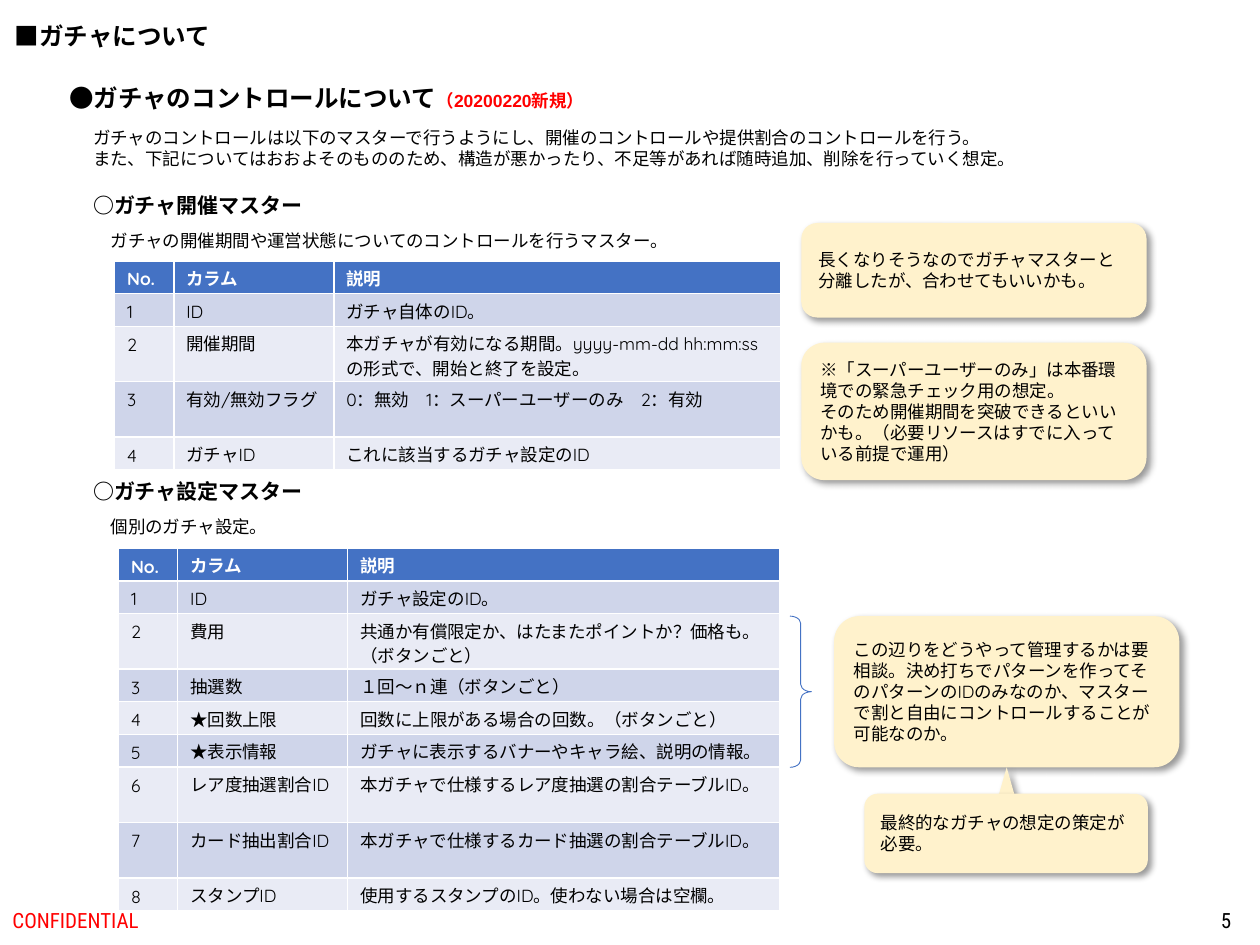
"""Build the gacha control slide."""
from lxml import etree
from pptx import Presentation
from pptx import util as u
from pptx.dml.color import RGBColor
from pptx.enum import shapes, text
from pptx.oxml import ns

CJK, QUICK, ROBOTO = "Noto Sans CJK JP", "Quicksand", "Roboto Condensed"
BLACK, WHITE, RED, BLUE, CREAM = "000000", "FFFFFF", "FF0000", "4472C4", "FFF2CC"
BANDS = ["CFD5EA", "E9EBF5"]
HEAD = ("No.", "カラム", "説明")
LOW, HIGH = 0.26, 0.44
MID = text.MSO_ANCHOR.MIDDLE
TITLE = dict(size=14, font="Arial", bold=True)
SUB = dict(size=12, bold=True)

LABELS = [
    ((0, 7.1, 3.38, 0.4), ["CONFIDENTIAL"],
     dict(size=12, font=ROBOTO, color=RED, anchor=MID)),
    ((7.62, 7.1, 2.25, 0.4), ["5"],
     dict(size=12, font=ROBOTO, anchor=MID, align=text.PP_ALIGN.RIGHT)),
    ((0.02, 0.12, 1.77, 0.34), ["■ガチャについて"], dict(TITLE, wrap=False)),
    ((0.45, 0.61, 4.47, 0.34),
     [["●ガチャのコントロールについて", ("（20200220新規）", 10, RED)]],
     dict(TITLE, wrap=False)),
    ((0.64, 0.96, 9.23, 0.44),
     ["ガチャのコントロールは以下のマスターで行うようにし、開催のコントロールや提供割合のコントロールを行う。",
      "また、下記についてはおおよそのもののため、構造が悪かったり、不足等があれば随時追加、削除を行っていく想定。"], {}),
    ((0.64, 1.48, 1.88, 0.3), ["○ガチャ開催マスター"], dict(SUB, wrap=False)),
    ((0.78, 1.78, 4.69, 0.27),
     ["ガチャの開催期間や運営状態についてのコントロールを行うマスター。"], dict(wrap=False)),
    ((0.64, 3.75, 1.88, 0.3), ["○ガチャ設定マスター"], dict(SUB, wrap=False)),
    ((0.78, 4.05, 1.46, 0.27), ["個別のガチャ設定。"], dict(wrap=False)),
]

TABLES = [
    (0.91, 2.07, (0.47, 1.27, 3.55), (2, 3), [
        ("ID", "ガチャ自体のID。"),
        ("開催期間", "本ガチャが有効になる期間。yyyy-mm-dd hh:mm:ssの形式で、開始と終了を設定。"),
        ("有効/無効フラグ", "0：無効　1：スーパーユーザーのみ　2：有効"),
        ("ガチャID", "これに該当するガチャ設定のID"),
    ]),
    (0.94, 4.35, (0.47, 1.35, 3.43), (2, 6, 7), [
        ("ID", "ガチャ設定のID。"),
        ("費用", "共通か有償限定か、はたまたポイントか？価格も。\n（ボタンごと）"),
        ("抽選数", "１回～ｎ連（ボタンごと）"),
        ("★回数上限", "回数に上限がある場合の回数。（ボタンごと）"),
        ("★表示情報", "ガチャに表示するバナーやキャラ絵、説明の情報。"),
        ("レア度抽選割合ID", "本ガチャで仕様するレア度抽選の割合テーブルID。"),
        ("カード抽出割合ID", "本ガチャで仕様するカード抽選の割合テーブルID。"),
        ("スタンプID", "使用するスタンプのID。使わない場合は空欄。"),
    ]),
]

NOTES = [
    ((6.36, 1.77, 2.74, 0.75),
     ["長くなりそうなのでガチャマスターと分離したが、合わせてもいいかも。"]),
    ((6.36, 2.72, 2.74, 1.09),
     ["※「スーパーユーザーのみ」は本番環境での緊急チェック用の想定。",
      "そのため開催期間を突破できるといいかも。（必要リソースはすでに入っている前提で運用）"]),
    ((6.62, 4.89, 2.74, 1.2),
     ["この辺りをどうやって管理するかは要相談。決め打ちでパターンを作ってそのパターンのIDのみなのか、"
      "マスターで割と自由にコントロールすることが可能なのか。"]),
    ((7.91, 6.09, 0.16, 0.28), []),
    ((6.86, 6.3, 2.25, 0.63), ["最終的なガチャの想定の策定が", "必要。"]),
]
BRACE = (6.27, 4.89, 0.17, 1.2)


def rgb(code):
    return RGBColor.from_string(code)


def inches(box):
    return [u.Inches(n) for n in box]


def write(frame, lines, size=10, font=CJK, color=BLACK, bold=False, wrap=True,
          align=text.PP_ALIGN.LEFT, anchor=text.MSO_ANCHOR.TOP, lead=None):
    frame.word_wrap = wrap
    frame.vertical_anchor = anchor
    for i, line in enumerate(lines):
        para = frame.add_paragraph() if i else frame.paragraphs[0]
        para.alignment = align
        para.line_spacing = u.Pt(lead or size * 1.2)
        for part in [line] if isinstance(line, str) else line:
            words, pts, hue = (part, size, color) if isinstance(part, str) else part
            run = para.add_run()
            run.text = words
            run.font.size, run.font.bold, run.font.name = u.Pt(pts), bold, font
            run.font.color.rgb = rgb(hue)
            east = etree.SubElement(run.font._element, ns.qn("a:ea"))
            east.set("typeface", CJK)


def grid(slide, left, top, widths, tall, body):
    rows = [HEAD] + [(str(i), *row) for i, row in enumerate(body, 1)]
    highs = [HIGH if i in tall else LOW for i in range(len(rows))]
    box = inches((left, top, sum(widths), sum(highs)))
    table = slide.shapes.add_table(len(rows), len(widths), *box).table
    for col, wide in zip(table.columns, widths):
        col.width = u.Inches(wide)
    for i, row in enumerate(rows):
        table.rows[i].height = u.Inches(highs[i])
        for j, words in enumerate(row):
            cell = table.cell(i, j)
            cell.margin_top, cell.margin_bottom = u.Inches(0.04), 0
            cell.fill.solid()
            cell.fill.fore_color.rgb = rgb(BANDS[(i - 1) % 2] if i else BLUE)
            write(cell.text_frame, words.split("\n"), font=QUICK, lead=14,
                  color=BLACK if i else WHITE, bold=not i)


def shade(shape):
    shape.shadow.inherit = False
    effect = shape._element.spPr.find(ns.qn("a:effectLst"))
    cast = etree.SubElement(effect, ns.qn("a:outerShdw"), blurRad=str(u.Pt(4)),
                            dist=str(u.Pt(3)), dir="2700000", algn="tl", rotWithShape="0")
    hue = etree.SubElement(cast, ns.qn("a:srgbClr"), val=BLACK)
    etree.SubElement(hue, ns.qn("a:alpha"), val="40000")


def note(slide, box, lines):
    kind = shapes.MSO_SHAPE
    form = kind.ROUNDED_RECTANGLE if lines else kind.ISOSCELES_TRIANGLE
    shape = slide.shapes.add_shape(form, *inches(box))
    shape.fill.solid()
    shape.fill.fore_color.rgb = rgb(CREAM)
    shape.line.fill.background()
    shade(shape)
    write(shape.text_frame, lines, font=QUICK, anchor=MID)


def brace(slide):
    shape = slide.shapes.add_shape(shapes.MSO_SHAPE.RIGHT_BRACE, *inches(BRACE))
    shape.adjustments[0] = 0.34
    shape.fill.background()
    shape.line.color.rgb = rgb(BLUE)
    shape.line.width = u.Pt(0.5)
    shape.shadow.inherit = False


def main():
    deck = Presentation()
    deck.slide_width, deck.slide_height = inches((10, 7.5))
    slide = deck.slides.add_slide(deck.slide_layouts[6])
    for table in TABLES:
        grid(slide, *table)
    for box, lines, style in LABELS:
        write(slide.shapes.add_textbox(*inches(box)).text_frame, lines, **style)
    for box, lines in NOTES:
        note(slide, box, lines)
    brace(slide)
    deck.save("out.pptx")


if __name__ == "__main__":
    main()
